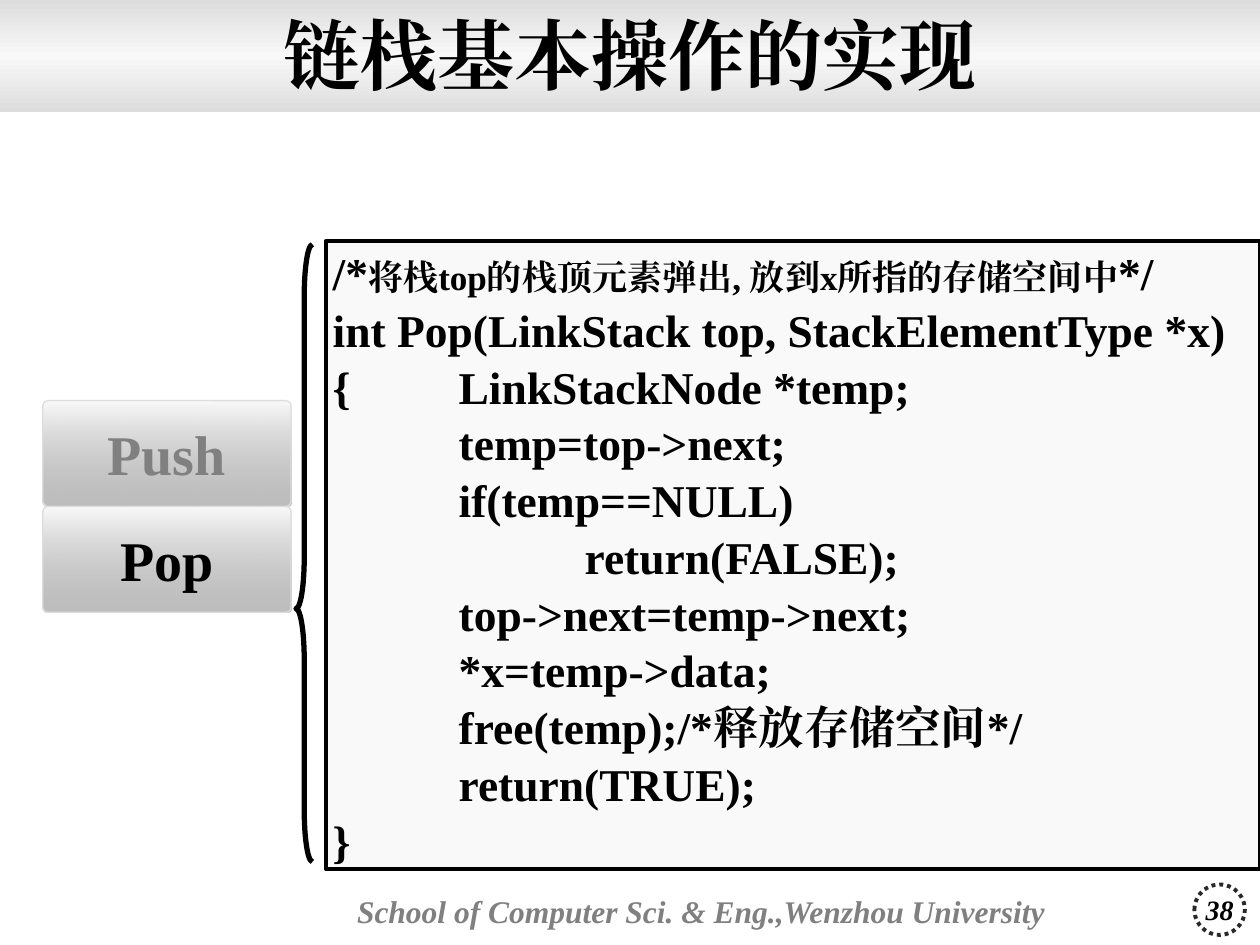
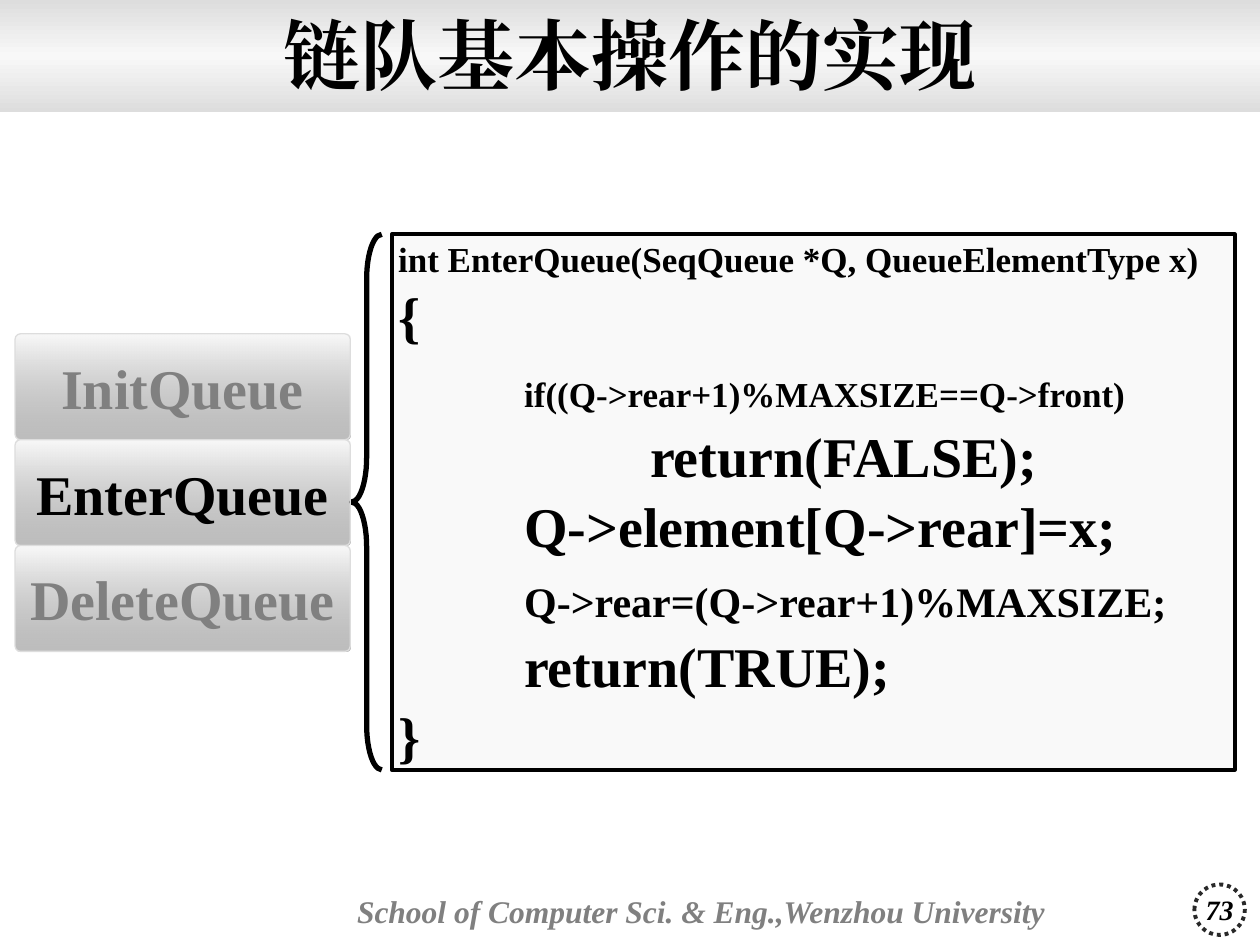
import lxml.etree
import pptx
import pptx.dml.color
import pptx.enum.dml
import pptx.enum.shapes
import pptx.enum.text
import pptx.oxml.ns
import pptx.util

Inches = pptx.util.Inches
Pt = pptx.util.Pt
RGB = pptx.dml.color.RGBColor
SHAPES = pptx.enum.shapes.MSO_SHAPE
ALIGN = pptx.enum.text.PP_ALIGN
qn = pptx.oxml.ns.qn

FONT = "Times New Roman"
BLACK = RGB(0x00, 0x00, 0x00)
MUTED = RGB(0x80, 0x80, 0x80)
PALE = RGB(0xF8, 0xF8, 0xF8)
SILVER = RGB(0xDD, 0xDD, 0xDD)
SLATE = RGB(0x72, 0x72, 0x72)
CHARCOAL = RGB(0x29, 0x29, 0x29)

SLIDE_WIDTH, SLIDE_HEIGHT = 10, 7.5
BUTTON_HEIGHT = 0.84
TIGHT = (0.05, 0.02)
ROOMY = (0.1, 0.05)
SCHOOL = "School of Computer Sci. & Eng.,Wenzhou University"


def add_color(parent, color, opacity=100):
    element = lxml.etree.SubElement(parent, qn("a:srgbClr"), val=str(color))
    if opacity < 100:
        lxml.etree.SubElement(element, qn("a:alpha"), val=str(opacity * 1000))


def fill_gradient(shape, stops):
    """Top-to-bottom gradient from (position, colour, opacity) stops."""
    shape.fill.gradient()
    shape.fill.gradient_angle = 270
    stop_list = shape._element.spPr.find(qn("a:gradFill")).find(qn("a:gsLst"))
    for old_stop in list(stop_list):
        stop_list.remove(old_stop)
    for position, color, opacity in stops:
        stop = lxml.etree.SubElement(stop_list, qn("a:gs"), pos=str(position * 1000))
        add_color(stop, color, opacity)


def fill_solid(shape, color, opacity):
    shape.fill.solid()
    solid = shape._element.spPr.find(qn("a:solidFill"))
    for old_color in list(solid):
        solid.remove(old_color)
    add_color(solid, color, opacity)


def add_outline(slide, preset, box, line_color=None, line_width=1.0):
    """Unfilled preset shape with an optional line."""
    shape = slide.shapes.add_shape(preset, *map(Inches, box))
    shape.shadow.inherit = False
    shape.fill.background()
    if line_color is None:
        shape.line.fill.background()
    else:
        shape.line.color.rgb = line_color
        shape.line.width = Pt(line_width)
    return shape


def prepare_frame(shape, insets, wrap=True):
    frame = shape.text_frame
    frame.word_wrap = wrap
    frame.vertical_anchor = pptx.enum.text.MSO_ANCHOR.MIDDLE
    frame.margin_left = frame.margin_right = Inches(insets[0])
    frame.margin_top = frame.margin_bottom = Inches(insets[1])
    return frame


def add_run(paragraph, text, size, color=BLACK, italic=False):
    run = paragraph.add_run()
    run.text = text
    run.font.size = Pt(size)
    run.font.bold = True
    run.font.italic = italic
    run.font.color.rgb = color
    run.font.name = FONT
    lxml.etree.SubElement(run._r.get_or_add_rPr(), qn("a:ea"), typeface=FONT)


def write_line(shape, text, size, insets, color=BLACK, italic=False,
               align=ALIGN.CENTER, wrap=True):
    paragraph = prepare_frame(shape, insets, wrap).paragraphs[0]
    paragraph.alignment = align
    add_run(paragraph, text, size, color, italic)


def add_frame(slide, title, number):
    """Title band, footer and page number shared by all slides."""
    band = add_outline(slide, SHAPES.RECTANGLE, (0, 0, SLIDE_WIDTH, 0.89))
    fill_gradient(band, [(0, SILVER, 100), (50, PALE, 100), (100, SILVER, 100)])

    footer = add_outline(slide, SHAPES.ROUNDED_RECTANGLE, (2.78, 6.9, 5.99, 0.66))
    footer.adjustments[0] = 0.02
    write_line(footer, SCHOOL, 18, TIGHT, MUTED, italic=True, align=ALIGN.LEFT)

    page = add_outline(slide, SHAPES.OVAL, (9.48, 7.02, 0.4, 0.4), CHARCOAL, 2.25)
    page.line.dash_style = pptx.enum.dml.MSO_LINE.ROUND_DOT
    write_line(page, str(number), 16, ROOMY, italic=True, wrap=False)

    heading = slide.shapes.add_textbox(*map(Inches, (0, -0.02, SLIDE_WIDTH, 0.9)))
    write_line(heading, title, 44, ROOMY)


def add_operations(slide, left, top, width, names, active):
    """Stack of operation buttons; only the active one is black."""
    for index, name in enumerate(names):
        box = (left, top + index * BUTTON_HEIGHT, width, BUTTON_HEIGHT)
        button = add_outline(slide, SHAPES.ROUNDED_RECTANGLE, box, SILVER, 0.75)
        button.adjustments[0] = 0.05
        fill_gradient(button, [(0, PALE, 84), (100, SLATE, 46)])
        write_line(button, name, 32, TIGHT, BLACK if name == active else MUTED)


def add_brace(slide, box, tip):
    """Left brace whose tip sits at the given fraction of its height."""
    width, height = box[2:]
    brace = add_outline(slide, SHAPES.LEFT_BRACE, box, BLACK, 3)
    brace.adjustments[0] = height / (12 * width)
    brace.adjustments[1] = tip


def add_code(slide, box, lines):
    """Code panel; each line is a list of (text, size) runs."""
    panel = add_outline(slide, SHAPES.ROUNDED_RECTANGLE, box, BLACK, 2.25)
    panel.adjustments[0] = 0
    fill_solid(panel, PALE, 78)
    frame = prepare_frame(panel, TIGHT)
    for index, line in enumerate(lines):
        paragraph = frame.add_paragraph() if index else frame.paragraphs[0]
        paragraph.alignment = ALIGN.LEFT
        paragraph.line_spacing = 1.04
        tabs = lxml.etree.SubElement(paragraph._p.get_or_add_pPr(), qn("a:tabLst"))
        for inch in (1, 2):
            lxml.etree.SubElement(tabs, qn("a:tab"), pos=str(Inches(inch)), algn="l")
        for text, size in line:
            add_run(paragraph, text, size)


POP_BODY = [
    "int Pop(LinkStack top, StackElementType *x)",
    "{\tLinkStackNode *temp;",
    "\ttemp=top->next;",
    "\tif(temp==NULL)",
    "\t\treturn(FALSE);",
    "\ttop->next=temp->next;",
    "\t*x=temp->data;",
    "\tfree(temp);/*释放存储空间*/",
    "\treturn(TRUE);",
    "}",
]
POP_CODE = [
    [("/*", 26), ("将栈top的栈顶元素弹出, 放到x所指的存储空间中", 20), ("*/", 26)],
    *([(text, 26)] for text in POP_BODY),
]
ENTER_QUEUE_CODE = [
    [("int EnterQueue(SeqQueue *Q, QueueElementType x)", 20)],
    [("{", 32)],
    [("\t", 32), ("if((Q->rear+1)%MAXSIZE==Q->front)", 20)],
    [("\t\treturn(FALSE);", 32)],
    [("\tQ->element[Q->rear]=x;", 32)],
    [("\t", 32), ("Q->rear=(Q->rear+1)%MAXSIZE;", 24)],
    [("\treturn(TRUE);", 32)],
    [("}", 32)],
]


def build_stack_slide(slide):
    add_frame(slide, "链栈基本操作的实现", 38)
    add_code(slide, (2.59, 1.91, 7.41, 4.99), POP_CODE)
    add_brace(slide, (2.35, 1.94, 0.13, 4.9), tip=0.59)
    add_operations(slide, 0.34, 3.18, 1.97, ["Push", "Pop"], "Pop")


def build_queue_slide(slide):
    add_frame(slide, "链队基本操作的实现", 73)
    add_brace(slide, (2.79, 1.86, 0.24, 4.25), tip=0.5)
    add_operations(slide, 0.12, 2.65, 2.66,
                   ["InitQueue", "EnterQueue", "DeleteQueue"], "EnterQueue")
    add_code(slide, (3.11, 1.86, 6.69, 4.25), ENTER_QUEUE_CODE)


def main():
    deck = pptx.Presentation()
    deck.slide_width = Inches(SLIDE_WIDTH)
    deck.slide_height = Inches(SLIDE_HEIGHT)
    for build in (build_stack_slide, build_queue_slide):
        build(deck.slides.add_slide(deck.slide_layouts[6]))
    deck.save("out.pptx")


if __name__ == "__main__":
    main()
